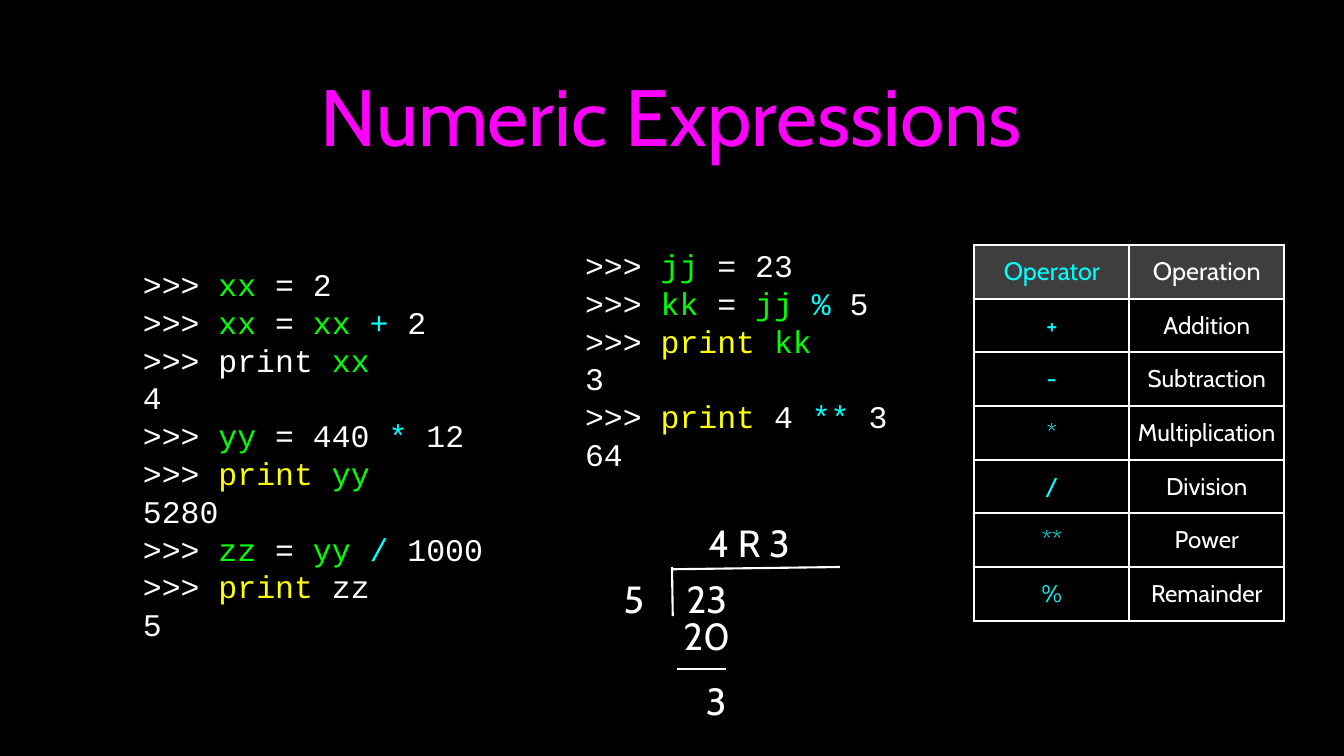
from dataclasses import dataclass

from lxml.etree import SubElement
from pptx import Presentation
from pptx.dml.color import RGBColor
from pptx.enum.shapes import MSO_CONNECTOR
from pptx.enum.text import MSO_ANCHOR, MSO_AUTO_SIZE, PP_ALIGN
from pptx.oxml.ns import qn
from pptx.util import Pt

EMU_PER_PX = 9144


@dataclass(frozen=True)
class Theme:
    background: str = "000000"
    plain: str = "FFFFFF"
    title: str = "FF00FF"
    variable: str = "00FF00"
    operator: str = "00FFFF"
    keyword: str = "FFFF00"
    header: str = "7F7F7F"
    header_opacity: int = 49
    body_font: str = "Cabin"
    code_font: str = "Courier New"
    title_size: int = 76
    code_size: int = 30
    code_pitch: int = 36
    division_size: int = 36
    header_size: int = 24
    cell_size: int = 23
    line_width: int = 2


THEME = Theme()
PLAIN, VARIABLE = THEME.plain, THEME.variable
OPERATOR, KEYWORD = THEME.operator, THEME.keyword

ARITHMETIC_SESSION = [
    [("xx", VARIABLE), (" = 2", PLAIN)],
    [("xx", VARIABLE), (" = ", PLAIN), ("xx ", VARIABLE), ("+", OPERATOR), (" 2", PLAIN)],
    [("print ", PLAIN), ("xx", VARIABLE)],
    "4",
    [("yy", VARIABLE), (" = 440 ", PLAIN), ("*", OPERATOR), (" 12", PLAIN)],
    [("print ", KEYWORD), ("yy", VARIABLE)],
    "5280",
    [("zz", VARIABLE), (" = ", PLAIN), ("yy ", VARIABLE), ("/", OPERATOR), (" 1000", PLAIN)],
    [("print", KEYWORD), (" zz", PLAIN)],
    "5",
]
REMAINDER_SESSION = [
    [("jj", VARIABLE), (" = 23", PLAIN)],
    [("kk", VARIABLE), (" = ", PLAIN), ("jj ", VARIABLE), ("% ", OPERATOR), ("5", PLAIN)],
    [("print ", KEYWORD), ("kk", VARIABLE)],
    "3",
    [("print", KEYWORD), (" 4 ", PLAIN), ("**", OPERATOR), (" 3", PLAIN)],
    "64",
]
OPERATIONS = [
    ("Operator", "Operation"),
    ("+", "Addition"),
    ("-", "Subtraction"),
    ("*", "Multiplication"),
    ("/", "Division"),
    ("**", "Power"),
    ("%", "Remainder"),
]
DIVISION_NUMBERS = [
    ("5", 820, 757, 37),
    ("23", 904, 757, 62),
    ("4 R 3", 931, 684, 120),
    ("20", 904, 807, 62),
    ("3", 929, 892, 37),
]
DIVISION_LINES = [
    (889, 750, 890, 815),
    (889, 753, 1111, 750),
    (896, 885, 960, 885),
]


def px(*lengths):
    return [length * EMU_PER_PX for length in lengths]


def apply_format(target, **values):
    for name, value in values.items():
        setattr(target, name, value)


def add_run(paragraph, text, font, size, color):
    run = paragraph.add_run()
    run.text = text
    apply_format(run.font, name=font, size=Pt(size), bold=False)
    run.font.color.rgb = RGBColor.from_string(color)


def format_frame(frame, margin=0, wrap=True):
    inset = margin * EMU_PER_PX
    apply_format(frame, margin_left=inset, margin_right=inset,
                 margin_top=inset, margin_bottom=inset, word_wrap=wrap,
                 auto_size=MSO_AUTO_SIZE.NONE, vertical_anchor=MSO_ANCHOR.MIDDLE)


def set_title(slide, text):
    title = slide.shapes.title
    left, top, width, height = px(126, 26, 1524, 251)
    apply_format(title, left=left, top=top, width=width, height=height)
    format_frame(title.text_frame, margin=4)
    heading = title.text_frame.paragraphs[0]
    heading.alignment = PP_ALIGN.CENTER
    add_run(heading, text, THEME.body_font, THEME.title_size, THEME.title)


def add_session(slide, session, *box):
    frame = slide.shapes.add_textbox(*px(*box)).text_frame
    format_frame(frame)
    for index, entry in enumerate(session):
        line = frame.add_paragraph() if index else frame.paragraphs[0]
        line.line_spacing = Pt(THEME.code_pitch)
        is_output = isinstance(entry, str)
        parts = [(entry, PLAIN)] if is_output else [(">>> ", PLAIN), *entry]
        for text, color in parts:
            add_run(line, text, THEME.code_font, THEME.code_size, color)


def add_number(slide, text, left, top, width):
    frame = slide.shapes.add_textbox(*px(left, top, width, 68)).text_frame
    format_frame(frame, wrap=False)
    number = frame.paragraphs[0]
    number.alignment = PP_ALIGN.CENTER
    add_run(number, text, THEME.body_font, THEME.division_size, PLAIN)


def add_line(slide, *ends):
    line = slide.shapes.add_connector(MSO_CONNECTOR.STRAIGHT, *px(*ends))
    line.line.color.rgb = RGBColor.from_string(PLAIN)
    line.line.width = Pt(THEME.line_width)
    SubElement(line._element.spPr, qn("a:effectLst"))


def add_borders(cell):
    properties = cell._tc.get_or_add_tcPr()
    for side in ("a:lnL", "a:lnR", "a:lnT", "a:lnB"):
        border = SubElement(properties, qn(side), w=str(Pt(THEME.line_width)))
        SubElement(SubElement(border, qn("a:solidFill")), qn("a:srgbClr"), val=PLAIN)


def fill_cell(cell, is_header):
    if not is_header:
        cell.fill.background()
        return
    cell.fill.solid()
    cell.fill.fore_color.rgb = RGBColor.from_string(THEME.header)
    color = cell._tc.tcPr.find(qn("a:solidFill")).find(qn("a:srgbClr"))
    SubElement(color, qn("a:alpha"), val=str(THEME.header_opacity * 1000))


def add_operations(slide, operations):
    row_height, column_width = 71, 205
    frame = slide.shapes.add_table(
        len(operations), 2,
        *px(1289, 324, 2 * column_width, len(operations) * row_height))
    table = frame.table
    apply_format(table, first_row=False, horz_banding=False)
    inset = 4 * EMU_PER_PX
    for row, labels in enumerate(operations):
        size = THEME.cell_size if row else THEME.header_size
        for column, (label, color) in enumerate(zip(labels, (OPERATOR, PLAIN))):
            cell = table.cell(row, column)
            apply_format(cell, margin_left=inset, margin_right=inset,
                         margin_top=inset, margin_bottom=inset,
                         vertical_anchor=MSO_ANCHOR.MIDDLE)
            add_borders(cell)
            fill_cell(cell, is_header=row == 0)
            paragraph = cell.text_frame.paragraphs[0]
            paragraph.alignment = PP_ALIGN.CENTER
            add_run(paragraph, label, THEME.body_font, size, color)


def main():
    presentation = Presentation()
    width, height = px(1778, 1000)
    apply_format(presentation, slide_width=width, slide_height=height)
    slide = presentation.slides.add_slide(presentation.slide_layouts[5])
    slide.background.fill.solid()
    slide.background.fill.fore_color.rgb = RGBColor.from_string(THEME.background)

    set_title(slide, "Numeric Expressions")
    add_session(slide, ARITHMETIC_SESSION, 189, 310, 488, 581)
    add_session(slide, REMAINDER_SESSION, 774, 299, 440, 353)
    add_operations(slide, OPERATIONS)
    for ends in DIVISION_LINES:
        add_line(slide, *ends)
    for number in DIVISION_NUMBERS:
        add_number(slide, *number)
    presentation.save("out.pptx")


if __name__ == "__main__":
    main()
